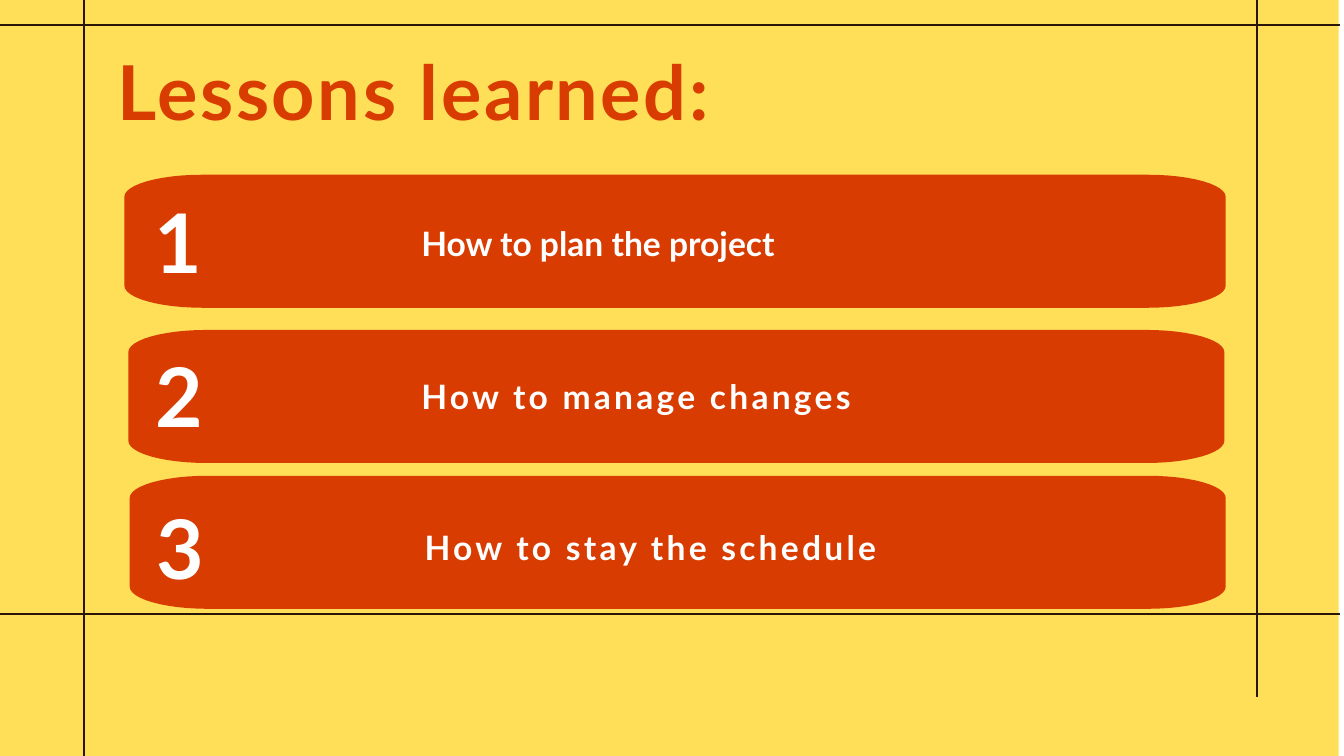
import math
from dataclasses import dataclass

import pptx
import pptx.dml.color
import pptx.enum.shapes
import pptx.enum.text
import pptx.oxml.ns
import pptx.util
from lxml import etree

PX = 9144  # EMU per px, 100 px to the inch
YELLOW = pptx.dml.color.RGBColor(0xFF, 0xDE, 0x58)
ORANGE = pptx.dml.color.RGBColor(0xD8, 0x3C, 0x00)
BROWN = pptx.dml.color.RGBColor(0x29, 0x16, 0x09)
WHITE = pptx.dml.color.RGBColor(0xFF, 0xFF, 0xFF)
FONT = "Lato"
CARD_HEIGHT = 198
CORNER_X, CORNER_Y = 116, 33
CORNER_STEPS = 12


@dataclass(frozen=True)
class Box:
    left: int
    top: int
    width: int
    height: int


@dataclass(frozen=True)
class Lesson:
    number: str
    wording: str
    card: Box
    number_box: Box
    wording_box: Box
    spacing: float


@dataclass(frozen=True)
class Rule:
    x1: int
    y1: int
    x2: int
    y2: int


LESSONS = [
    Lesson("1", "How to plan the project", Box(185, 260, 1639, CARD_HEIGHT),
           Box(230, 284, 348, 149), Box(627, 330, 625, 62), 0),
    Lesson("2", "How to manage changes", Box(191, 491, 1631, CARD_HEIGHT),
           Box(231, 513, 348, 149), Box(627, 559, 785, 62), 3.5),
    Lesson("3", "How to stay the schedule", Box(193, 708, 1631, CARD_HEIGHT),
           Box(233, 739, 348, 149), Box(632, 783, 736, 62), 3.5),
]
RULES = [
    Rule(125, 0, 125, 1125),
    Rule(1870, 0, 1870, 1037),
    Rule(0, 37, 1994, 37),
    Rule(0, 914, 1994, 914),
]


def place(shape, box: Box) -> None:
    shape.left, shape.top = box.left * PX, box.top * PX
    shape.width, shape.height = box.width * PX, box.height * PX


def paint(shape, color: pptx.dml.color.RGBColor) -> None:
    shape.shadow.inherit = False
    shape.fill.solid()
    shape.fill.fore_color.rgb = color
    shape.line.fill.background()


def write(shape, text: str, *, size: int, color: pptx.dml.color.RGBColor,
          spacing: float = 0) -> None:
    frame = shape.text_frame
    frame.word_wrap = True
    frame.auto_size = pptx.enum.text.MSO_AUTO_SIZE.SHAPE_TO_FIT_TEXT
    frame.vertical_anchor = pptx.enum.text.MSO_ANCHOR.TOP
    frame.margin_left = frame.margin_right = frame.margin_bottom = 0
    frame.margin_top = PX
    paragraph = frame.paragraphs[0]
    paragraph.alignment = pptx.enum.text.PP_ALIGN.LEFT
    run = paragraph.add_run()
    run.text = text
    run.font.name = FONT
    run.font.size = pptx.util.Pt(size)
    run.font.bold = True
    run.font.color.rgb = color
    if spacing:
        run.font._element.set("spc", str(round(spacing * 100)))


def add_text(slide, box: Box, text: str, **text_format) -> None:
    label = slide.shapes.add_textbox(0, 0, 0, 0)
    place(label, box)
    write(label, text, **text_format)


def add_rule(slide, rule: Rule) -> None:
    line = slide.shapes.add_connector(
        pptx.enum.shapes.MSO_CONNECTOR.STRAIGHT,
        rule.x1 * PX, rule.y1 * PX, rule.x2 * PX, rule.y2 * PX)
    line.line.color.rgb = BROWN
    line.line.width = pptx.util.Pt(2.25)
    etree.SubElement(line._element.spPr, pptx.oxml.ns.qn("a:effectLst"))


def add_card(slide, box: Box) -> None:
    """Draw a bar whose corners are quarter ellipses."""
    right, bottom = box.left + box.width, box.top + box.height
    centers = [
        (right - CORNER_X, bottom - CORNER_Y),
        (box.left + CORNER_X, bottom - CORNER_Y),
        (box.left + CORNER_X, box.top + CORNER_Y),
        (right - CORNER_X, box.top + CORNER_Y),
    ]
    outline = []
    for quarter, (x, y) in enumerate(centers):
        for step in range(CORNER_STEPS + 1):
            angle = (quarter + step / CORNER_STEPS) * math.pi / 2
            outline.append((round((x + CORNER_X * math.cos(angle)) * PX),
                            round((y + CORNER_Y * math.sin(angle)) * PX)))
    builder = slide.shapes.build_freeform(*outline[0])
    builder.add_line_segments(outline[1:], close=True)
    paint(builder.convert_to_shape(), ORANGE)


def main() -> None:
    deck = pptx.Presentation()
    deck.slide_width, deck.slide_height = 2000 * PX, 1125 * PX
    slide = deck.slides.add_slide(deck.slide_layouts[5])

    # Yellow backdrop, which leaves a thin white strip on the right
    backdrop = slide.shapes.add_shape(
        pptx.enum.shapes.MSO_SHAPE.RECTANGLE, 0, 0, 0, 0)
    place(backdrop, Box(0, 0, 1992, 1125))
    paint(backdrop, YELLOW)

    # Frame of crossing lines
    for rule in RULES:
        add_rule(slide, rule)

    # Title, raised above the backdrop
    title = slide.shapes.title
    place(title, Box(175, 66, 1077, 138))
    write(title, "Lessons learned:", size=81, color=ORANGE, spacing=2.8)
    slide.shapes._spTree.append(title._element)

    # Numbered lessons
    for lesson in LESSONS:
        add_card(slide, lesson.card)
        add_text(slide, lesson.number_box, lesson.number,
                 size=88, color=WHITE, spacing=3.5)
        add_text(slide, lesson.wording_box, lesson.wording,
                 size=36, color=WHITE, spacing=lesson.spacing)

    deck.save("out.pptx")


if __name__ == "__main__":
    main()
